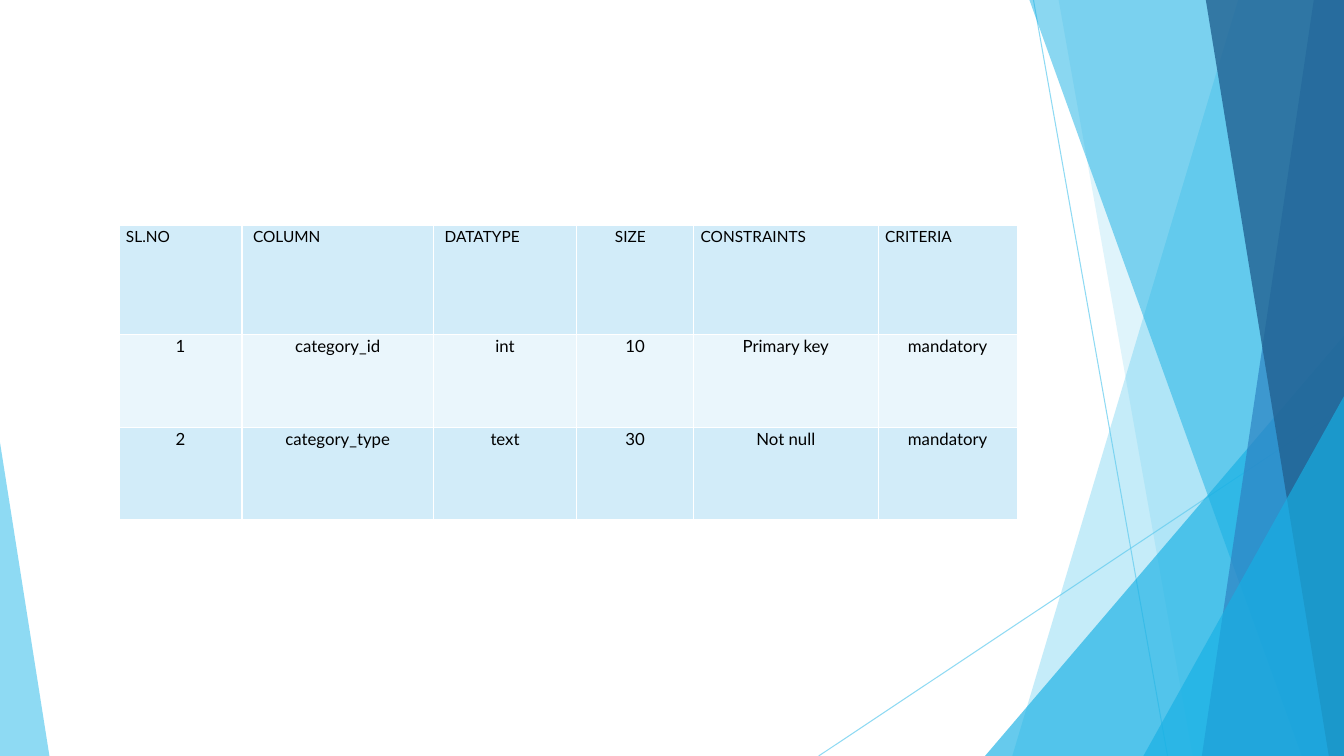
import pptx
import pptx.dml.color
import pptx.enum.shapes
import pptx.enum.text
import pptx.oxml
import pptx.oxml.ns
import pptx.util
from pptx.util import Inches

WIDTH, HEIGHT = 13.33, 7.5
SKY, CYAN, BLUE, NAVY = "5FCBEF", "17B0E4", "2E83C3", "226292"
FONT = "Lato"

# Start and end of each thin ray
RAYS = [((10.25, 0), (11.58, HEIGHT)), ((WIDTH, 4.03), (8.12, HEIGHT))]

# Facets from back to front, all reaching the right edge of the slide.
# band: left edge at the top, left edge at the bottom, colour, opacity
# peak: left, top, colour, opacity
FACETS = [
    ("band", 12.28, 10.04, SKY, 36),
    ("band", 10.5, 11.83, SKY, 20),
    ("peak", 9.77, 3.33, CYAN, 66),
    ("band", 10.21, 12.91, CYAN, 50),
    ("band", 13.03, 11.92, BLUE, 70),
    ("band", 11.96, 13.18, NAVY, 80),
    ("peak", 11.34, 3.93, CYAN, 66),
]
CORNER_WIDTH, CORNER_TOP = 0.49, 4.39

# Heading, column width, extra indent of the heading
COLUMNS = [
    ("SL.NO", 1.22, 0),
    ("COLUMN", 1.9, 0.04),
    ("DATATYPE", 1.42, 0.04),
    ("SIZE", 1.16, 0.31),
    ("CONSTRAINTS", 1.83, 0),
    ("CRITERIA", 1.38, 0),
]
FIELDS = [
    ("1", "category_id", "int", "10", "Primary key", "mandatory"),
    ("2", "category_type", "text", "30", "Not null", "mandatory"),
]
ROW_HEIGHTS = [1.08, 0.92, 0.92]
ROW_FILLS = ["D2ECF9", "EAF6FC"]
TABLE_LEFT, TABLE_TOP = 1.18, 2.24
CELL_MARGIN = 0.07


def rgb(code):
    return pptx.dml.color.RGBColor.from_string(code)


def set_opacity(shape, percent):
    for color in shape.element.spPr.iter(pptx.oxml.ns.qn("a:srgbClr")):
        color.append(pptx.oxml.parse_xml(
            f'<a:alpha {pptx.oxml.ns.nsdecls("a")} val="{percent * 1000}"/>'))


def paint(shape, color, opacity):
    shape.shadow.inherit = False
    shape.fill.solid()
    shape.fill.fore_color.rgb = rgb(color)
    shape.line.fill.background()
    set_opacity(shape, opacity)


def add_ray(shapes, start, end):
    ray = shapes.add_connector(pptx.enum.shapes.MSO_CONNECTOR.STRAIGHT,
                               *map(Inches, start + end))
    ray.line.width = pptx.util.Pt(0.75)
    ray.line.color.rgb = rgb(SKY)
    set_opacity(ray, 70)
    ray.element.spPr.append(pptx.oxml.parse_xml(
        f'<a:effectLst {pptx.oxml.ns.nsdecls("a")}/>'))


def add_band(shapes, top_left, bottom_left, color, opacity):
    corners = [(WIDTH, 0), (WIDTH, HEIGHT), (bottom_left, HEIGHT)]
    builder = shapes.build_freeform(Inches(top_left), 0)
    builder.add_line_segments([(Inches(x), Inches(y)) for x, y in corners])
    paint(builder.convert_to_shape(), color, opacity)


def add_peak(shapes, left, top, color, opacity, right=WIDTH, apex=1):
    """Triangle standing on the bottom edge; apex 0 is at its left, 1 at its right."""
    peak = shapes.add_shape(
        pptx.enum.shapes.MSO_SHAPE.ISOSCELES_TRIANGLE,
        *map(Inches, (left, top, right - left, HEIGHT - top)))
    peak.adjustments[0] = apex
    paint(peak, color, opacity)


def write(frame, text, size, align):
    paragraph = frame.paragraphs[0]
    paragraph.alignment = align
    paragraph.line_spacing = 1.07
    paragraph.space_after = pptx.util.Pt(8)
    run = paragraph.add_run()
    run.text = text
    run.font.name = FONT
    run.font.size = pptx.util.Pt(size)
    run.font.bold = False
    run.font.color.rgb = rgb("000000")


def style_cell(cell, fill, indent=0):
    cell.margin_left = Inches(CELL_MARGIN + indent)
    cell.margin_right = Inches(CELL_MARGIN)
    cell.margin_top = cell.margin_bottom = 0
    properties = cell._tc.get_or_add_tcPr()
    for side in "LRTB":
        properties.append(pptx.oxml.parse_xml(
            f'<a:ln{side} {pptx.oxml.ns.nsdecls("a")} w="12700"><a:solidFill>'
            f'<a:srgbClr val="FFFFFF"/></a:solidFill></a:ln{side}>'))
    cell.fill.solid()
    cell.fill.fore_color.rgb = rgb(fill)


def add_schema(shapes):
    headings, widths, indents = zip(*COLUMNS)
    rows = [headings] + FIELDS
    schema = shapes.add_table(
        len(rows), len(widths),
        *map(Inches, (TABLE_LEFT, TABLE_TOP, sum(widths), sum(ROW_HEIGHTS)))).table
    schema.first_row = schema.horz_banding = False
    for column, width in zip(schema.columns, widths):
        column.width = Inches(width)
    for r, (height, texts) in enumerate(zip(ROW_HEIGHTS, rows)):
        schema.rows[r].height = Inches(height)
        for c, text in enumerate(texts):
            cell = schema.cell(r, c)
            style_cell(cell, ROW_FILLS[r % 2], indent=0 if r else indents[c])
            align = pptx.enum.text.PP_ALIGN
            write(cell.text_frame, text, size=12 if r else 11,
                  align=align.CENTER if r else align.LEFT)


def main():
    deck = pptx.Presentation()
    deck.slide_width, deck.slide_height = Inches(WIDTH), Inches(HEIGHT)
    shapes = deck.slides.add_slide(deck.slide_layouts[6]).shapes
    for start, end in RAYS:
        add_ray(shapes, start, end)
    add_facet = {"band": add_band, "peak": add_peak}
    for kind, *geometry in FACETS:
        add_facet[kind](shapes, *geometry)
    add_peak(shapes, 0, CORNER_TOP, SKY, 70, right=CORNER_WIDTH, apex=0)
    add_schema(shapes)
    deck.save("out.pptx")


if __name__ == "__main__":
    main()
